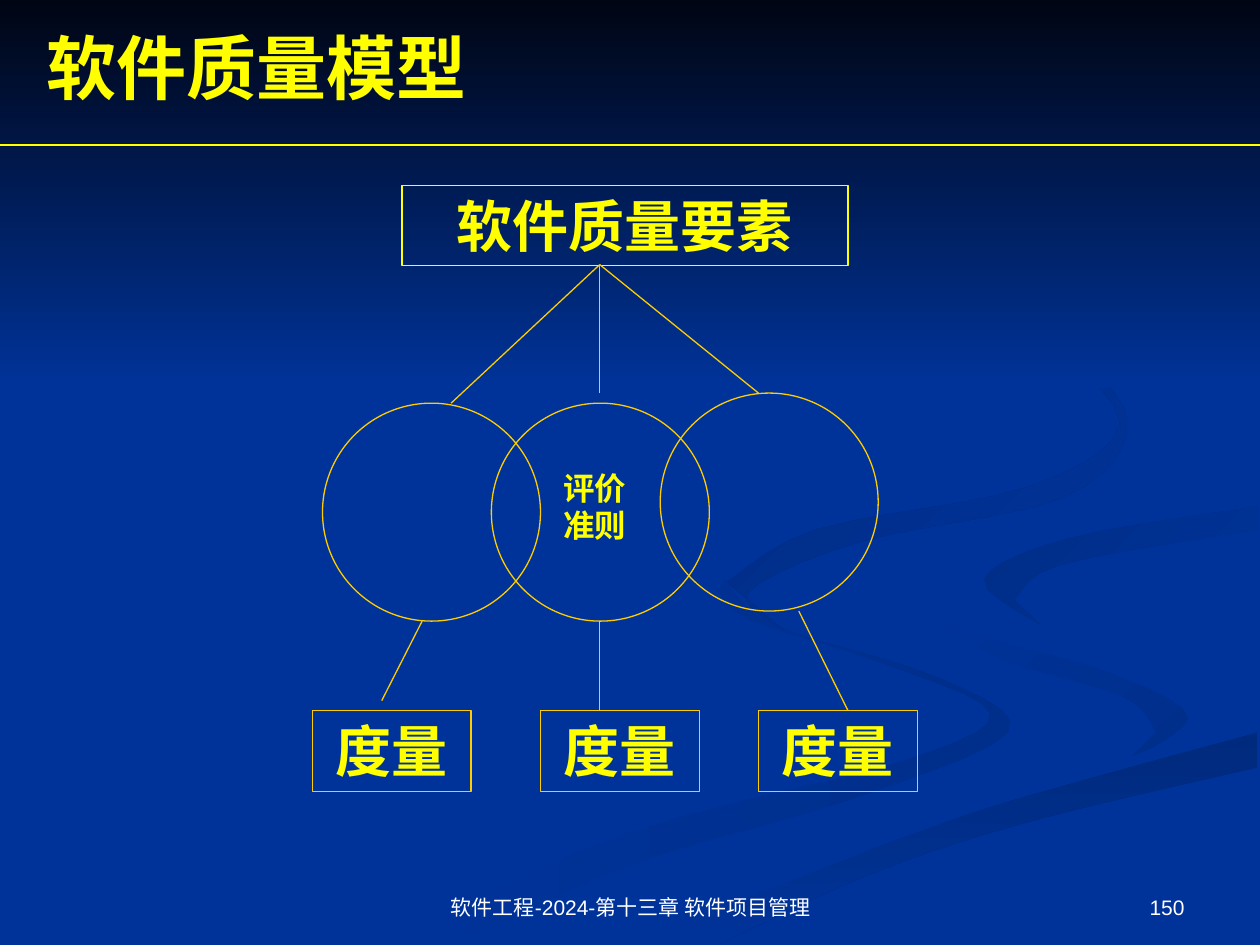
from lxml import etree
from pptx import Presentation
from pptx import util as u
from pptx.dml.color import RGBColor
from pptx.enum import shapes, text
from pptx.oxml.ns import qn

BLUE, YELLOW, GOLD, WHITE = "003399", "FFFF00", "FFCC00", "FFFFFF"
STEPS = 5


def paint(color_format, value):
    color_format.rgb = RGBColor.from_string(value)


def write(box, words, size, color=YELLOW, font="Times New Roman", bold=True,
          align=text.PP_ALIGN.CENTER, anchor=text.MSO_ANCHOR.TOP,
          fit=text.MSO_AUTO_SIZE.NONE):
    frame = box.text_frame
    frame.word_wrap = True
    frame.auto_size = fit
    frame.vertical_anchor = anchor
    para = frame.paragraphs[0]
    para.alignment = align
    span = para.add_run()
    span.text = words
    span.font.size = u.Pt(size)
    span.font.name = font
    span.font.bold = bold
    paint(span.font.color, color)


deck = Presentation()
deck.slide_width, deck.slide_height = u.Inches(10), u.Inches(7.5)
page = deck.slides.add_slide(deck.slide_layouts[5])
page.background.fill.solid()
paint(page.background.fill.fore_color, BLUE)

# Background ribbons: start colour, end colour, angle, edges drawn as smooth curves
ribbons = [
    (BLUE, "002E8B", 0, [
        [(5.75, 4.59), (6.14, 4.96), (7.45, 5.38), (8, 5.81), (6.76, 6.34), (4.99, 6.87), (3.61, 7.49)],
        [(3, 7.49), (4.99, 6.61), (7.14, 6.05), (7.86, 5.66), (6.97, 5.25), (5.93, 4.91), (5.7, 4.68)]]),
    (BLUE, "002E8B", 45, [
        [(7.24, 4.64), (7.58, 4.98), (9.05, 5.4), (9.43, 5.7), (8.94, 6.05)],
        [(9.18, 5.81), (8.92, 5.53), (7.97, 5.24), (7.33, 4.88)]]),
    ("002A7D", BLUE, 90, [
        [(5.03, 7.49), (6.3, 6.93), (7.64, 6.47), (9.98, 5.81)],
        [(9.98, 6.09), (8.21, 6.51), (6.95, 6.92), (5.71, 7.49)]]),
    (BLUE, BLUE, 0, [
        [(4.77, 7.49), (6.63, 6.68), (8.69, 6.11), (9.43, 5.7), (8.71, 5.3), (7.59, 4.98),
         (7.25, 4.64), (8.08, 4.17), (9.99, 3.87)],
        [(9.99, 4.02), (8.35, 4.3), (7.81, 4.63), (8.48, 5.03), (9.99, 5.38)],
        [(9.99, 5.81), (7.65, 6.47), (5.03, 7.49)]]),
    ("002D86", BLUE, 45, [
        [(9.98, 4.02), (8.49, 4.27), (7.81, 4.6), (8.26, 4.96)],
        [(8.05, 4.76), (8.43, 4.48), (9.98, 4.2)]]),
    ("002B82", BLUE, 45, [
        [(7.62, 2.33), (8.64, 2.91), (8.94, 3.44), (8.41, 3.96), (6.83, 4.3), (5.94, 4.7), (6.22, 5)],
        [(5.77, 4.62), (6.49, 4.2), (8.18, 3.86), (8.89, 3.35), (8.26, 2.66)]]),
]
backdrop = []
for start, end, angle, edges in ribbons:
    points = []
    for edge in edges:
        padded = [edge[0], *edge, edge[-1]]
        for a, b, c, d in zip(padded, padded[1:], padded[2:], padded[3:]):
            for step in range(STEPS):
                t = step / STEPS
                points.append([
                    u.Inches(q + t * (r - p + t * (2 * p - 5 * q + 4 * r - s
                                                   + t * (3 * q - 3 * r + s - p))) / 2)
                    for p, q, r, s in zip(a, b, c, d)])
        points.append([u.Inches(v) for v in edge[-1]])
    builder = page.shapes.build_freeform(*points[0])
    builder.add_line_segments(points[1:], close=True)
    backdrop.append((builder.convert_to_shape(), start, end, angle))

# Dark band across the top
band = page.shapes.add_shape(shapes.MSO_SHAPE.RECTANGLE, 0, 0, u.Inches(10), u.Inches(3.08))
backdrop.append((band, "000514", BLUE, 90))

for shape, start, end, angle in backdrop:
    shape.shadow.inherit = False
    shape.line.fill.background()
    if start == end:
        shape.fill.solid()
        paint(shape.fill.fore_color, start)
    else:
        shape.fill.gradient()
        shape.fill.gradient_angle = -angle % 360
        for stop, value, position in zip(shape.fill.gradient_stops, (start, end), (0, 1)):
            paint(stop.color, value)
            stop.position = position

# Title, brought in front of the band
title = page.shapes.title
title.left, title.top = u.Inches(0.27), u.Inches(0.13)
title.width, title.height = u.Inches(9), u.Inches(0.79)
write(title, "软件质量模型", 40, align=text.PP_ALIGN.LEFT, anchor=text.MSO_ANCHOR.MIDDLE)
page.shapes.element.append(title.element)

# Factor box, criteria circles and metric boxes
RECT, OVAL = shapes.MSO_SHAPE.RECTANGLE, shapes.MSO_SHAPE.OVAL
nodes = [(RECT, 3.19, 1.47, 3.54, 0.64, YELLOW, "软件质量要素")]
nodes += [(OVAL, x, y, 1.73, 1.73, GOLD, "") for x, y in ((2.56, 3.2), (3.9, 3.2), (5.24, 3.12))]
nodes += [(RECT, x, 5.64, 1.26, 0.64, GOLD, "度量") for x in (2.48, 4.29, 6.02)]
for kind, x, y, width, height, color, words in nodes:
    node = page.shapes.add_shape(kind, u.Inches(x), u.Inches(y), u.Inches(width), u.Inches(height))
    node.shadow.inherit = False
    node.fill.background()
    paint(node.line.color, color)
    node.line.width = u.Pt(0.75)
    if words:
        write(node, words, 32, fit=text.MSO_AUTO_SIZE.SHAPE_TO_FIT_TEXT)

# Rule under the title, then the links between levels
hub = (4.76, 2.1)
links = [(0, 1.15, 10, 1.15, YELLOW)]
links += [(*hub, x, y, GOLD) for x, y in ((3.58, 3.2), (4.76, 3.12), (6.02, 3.12))]
links += [
    (3.35, 4.93, 3.03, 5.56, GOLD),
    (4.76, 4.93, 4.76, 5.64, GOLD),
    (6.34, 4.85, 6.73, 5.64, GOLD),
]
for *ends, color in links:
    link = page.shapes.add_connector(shapes.MSO_CONNECTOR.STRAIGHT, *[u.Inches(v) for v in ends])
    paint(link.line.color, color)
    link.line.width = u.Pt(0.75)
    etree.SubElement(link.element.spPr, qn("a:effectLst"))

# Criteria label, footer and page number
criteria = page.shapes.add_textbox(u.Inches(4.37), u.Inches(3.67), u.Inches(0.71), u.Inches(0.7))
write(criteria, "评价准则", 18, align=text.PP_ALIGN.LEFT, fit=text.MSO_AUTO_SIZE.SHAPE_TO_FIT_TEXT)
for x, width, words, align in (
    (3.42, 3.17, "软件工程-2024-第十三章 软件项目管理", text.PP_ALIGN.CENTER),
    (7.17, 2.33, "150", text.PP_ALIGN.RIGHT),
):
    footer = page.shapes.add_textbox(u.Inches(x), u.Inches(6.83), u.Inches(width), u.Inches(0.52))
    write(footer, words, 12, WHITE, "Arial", False, align, text.MSO_ANCHOR.BOTTOM)

deck.save("out.pptx")
